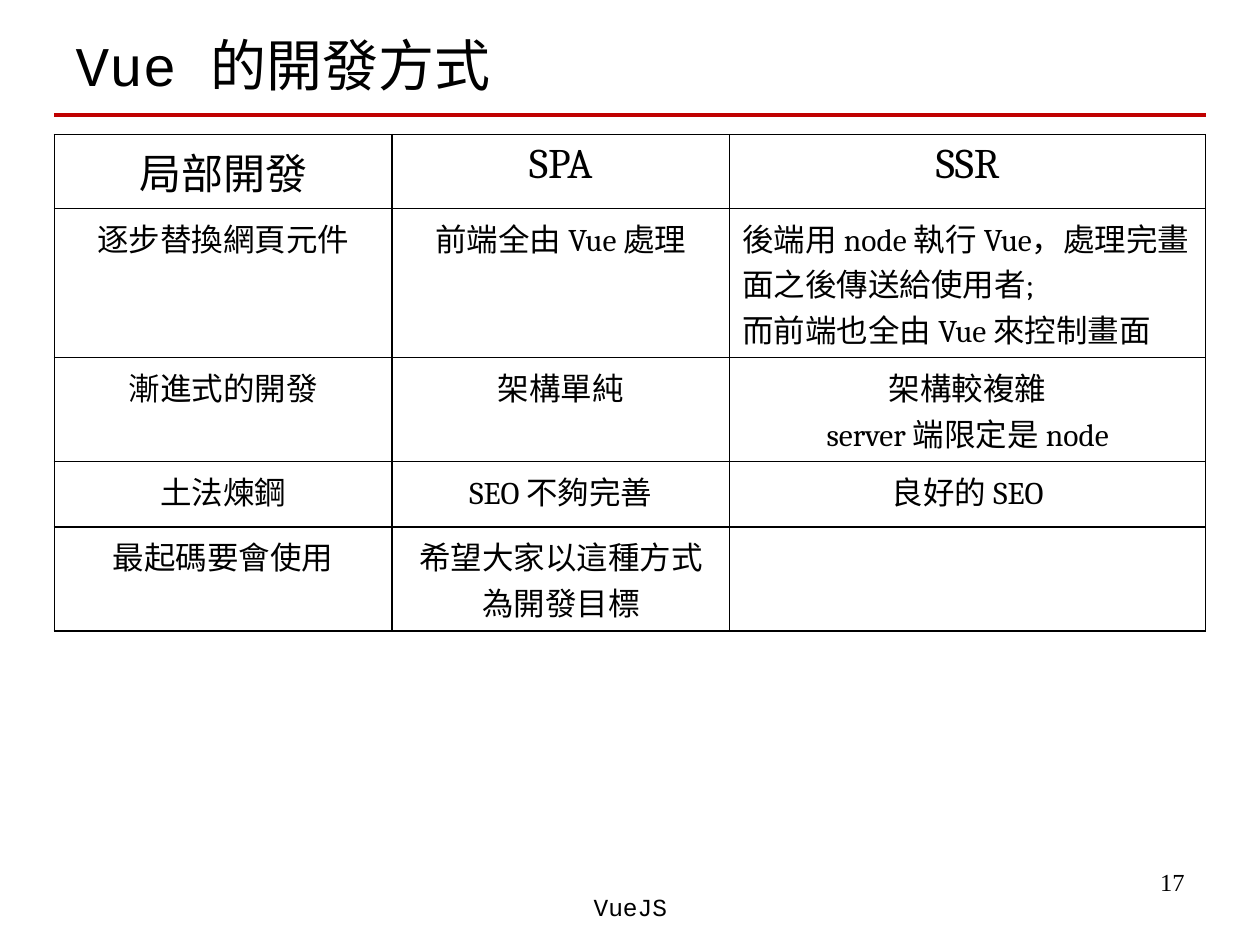
from dataclasses import dataclass

from lxml.etree import SubElement
from pptx import Presentation
from pptx.dml.color import RGBColor
from pptx.enum.shapes import MSO_CONNECTOR
from pptx.enum.text import MSO_ANCHOR, MSO_AUTO_SIZE, PP_ALIGN
from pptx.oxml.ns import qn
from pptx.util import Pt


@dataclass(frozen=True)
class Theme:
    ink: str = "000000"
    paper: str = "FFFFFF"
    accent: str = "C00000"
    mono: str = "Courier New"
    serif: str = "Cambria"
    roman: str = "Times New Roman"
    title: int = 32
    head: int = 24
    body: int = 18
    small: int = 14


THEME = Theme()
LEFT, WIDTH = 31, 658
COLS = (193, 193, 272)
ROWS = (37.4, 72, 50.4, 37.4, 50.4)
CELLS = (
    ("局部開發", "SPA", "SSR"),
    ("逐步替換網頁元件", "前端全由 Vue 處理",
     "後端用 node 執行 Vue，處理完畫面之後傳送給使用者;\n而前端也全由 Vue 來控制畫面"),
    ("漸進式的開發", "架構單純", "架構較複雜\nserver 端限定是 node"),
    ("土法煉鋼", "SEO 不夠完善", "良好的 SEO"),
    ("最起碼要會使用", "希望大家以這種方式為開發目標", ""),
)


def write(frame, text, font=THEME.serif, size=THEME.body, align=PP_ALIGN.CENTER):
    """Fill a text frame with one paragraph; a newline becomes a line break."""
    frame.word_wrap = True
    para = frame.paragraphs[0]
    para.text = text
    para.alignment = align
    for run in para.runs:
        run.font.name = font
        run.font.size = Pt(size)
        run.font.color.rgb = RGBColor.from_string(THEME.ink)


def add_title(slide, text):
    title = slide.shapes.title
    title.left, title.top, title.width, title.height = map(Pt, (36, 9.4, 648, 54.7))
    frame = title.text_frame
    frame.auto_size = MSO_AUTO_SIZE.NONE
    frame.vertical_anchor = MSO_ANCHOR.MIDDLE
    write(frame, text, font=THEME.mono, size=THEME.title, align=PP_ALIGN.LEFT)


def add_label(slide, text, box, **style):
    label = slide.shapes.add_textbox(*map(Pt, box))
    write(label.text_frame, text, size=THEME.small, **style)


def add_rule(slide, top):
    rule = slide.shapes.add_connector(
        MSO_CONNECTOR.STRAIGHT, Pt(LEFT), Pt(top), Pt(LEFT + WIDTH), Pt(top))
    rule.line.color.rgb = RGBColor.from_string(THEME.accent)
    rule.line.width = Pt(2.25)
    SubElement(rule._element.spPr, qn("a:effectLst"))


def add_border(cell):
    props = cell._tc.get_or_add_tcPr()
    for side in ("lnL", "lnR", "lnT", "lnB"):
        edge = SubElement(props, qn(f"a:{side}"), w=str(Pt(1)))
        fill = SubElement(edge, qn("a:solidFill"))
        SubElement(fill, qn("a:srgbClr"), val=THEME.ink)


def add_grid(slide, top):
    table = slide.shapes.add_table(
        len(ROWS), len(COLS), Pt(LEFT), Pt(top), Pt(WIDTH), Pt(sum(ROWS))).table
    table.first_row = table.horz_banding = False
    for col, width in zip(table.columns, COLS):
        col.width = Pt(width)
    for r, (height, texts) in enumerate(zip(ROWS, CELLS)):
        table.rows[r].height = Pt(height)
        for c, text in enumerate(texts):
            cell = table.cell(r, c)
            add_border(cell)
            cell.fill.solid()
            cell.fill.fore_color.rgb = RGBColor.from_string(THEME.paper)
            write(cell.text_frame, text,
                  size=THEME.body if r else THEME.head,
                  align=PP_ALIGN.LEFT if (r, c) == (1, 2) else PP_ALIGN.CENTER)


def main():
    deck = Presentation()
    deck.slide_width, deck.slide_height = Pt(720), Pt(540)
    slide = deck.slides.add_slide(deck.slide_layouts[5])
    add_title(slide, "Vue 的開發方式")
    add_rule(slide, 65.5)
    add_grid(slide, 77)
    add_label(slide, "17", (516.2, 491.8, 167.8, 37.4),
              font=THEME.roman, align=PP_ALIGN.RIGHT)
    add_label(slide, "VueJS", (246.2, 506.2, 228.2, 36), font=THEME.mono)
    deck.save("out.pptx")


if __name__ == "__main__":
    main()
